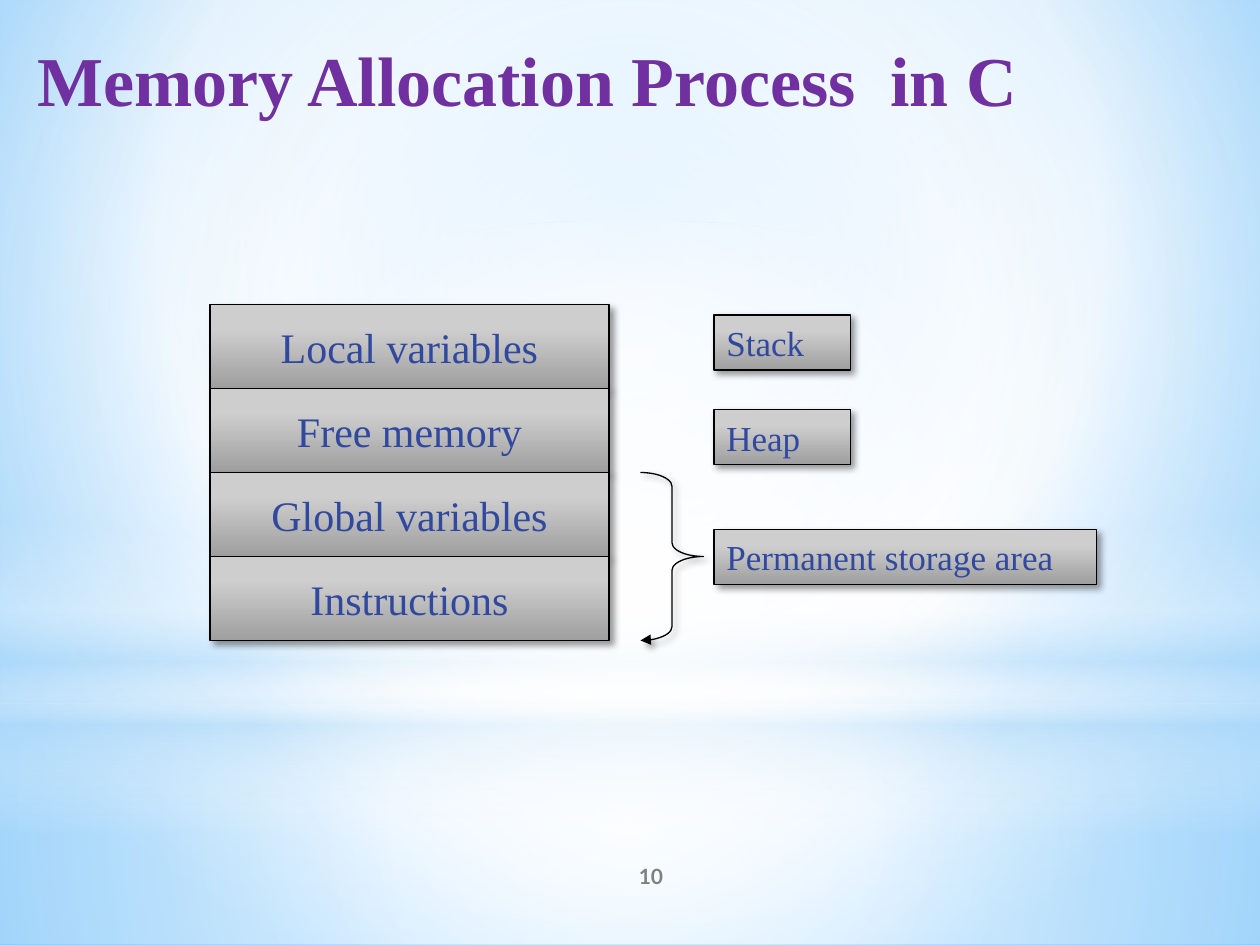
"""Build the slide on how C lays out program memory."""
from dataclasses import dataclass

from lxml import etree
from pptx import Presentation
from pptx.dml.color import RGBColor
from pptx.enum.shapes import MSO_SHAPE
from pptx.enum.text import MSO_ANCHOR, PP_ALIGN
from pptx.oxml.ns import qn
from pptx.util import Pt

RECT, OVAL, BRACE = MSO_SHAPE.RECTANGLE, MSO_SHAPE.OVAL, MSO_SHAPE.RIGHT_BRACE
LEFT, CENTER = PP_ALIGN.LEFT, PP_ALIGN.CENTER
TOP, MIDDLE = MSO_ANCHOR.TOP, MSO_ANCHOR.MIDDLE
CENTERED = (50, 50, 50, 50)


@dataclass(frozen=True)
class Theme:
    serif: str = "Times New Roman"
    sans: str = "Lato"
    title: str = "7030A0"
    label: str = "31489F"
    number: str = "808080"
    line: str = "000000"
    white: str = "FFFFFF"
    haze: str = "B4DCFA"
    sky: str = "9ED5FF"
    deep_sky: str = "5BB9FF"
    metal: tuple = ((28, "CECECE", 100), (100, "9F9F9F", 100))
    title_size: int = 40
    block_size: int = 24
    label_size: int = 20
    number_size: int = 12


def add_node(parent, tag, **attributes):
    node = etree.SubElement(parent, qn(tag))
    for key, value in attributes.items():
        node.set(key, str(value))
    return node


def add_color(parent, color, opacity):
    node = add_node(parent, "a:srgbClr", val=color)
    if opacity < 100:
        add_node(node, "a:alpha", val=opacity * 1000)


class SlideBuilder:
    def __init__(self, slide, theme):
        self.slide = slide
        self.theme = theme

    def gradient(self, fill, owner, stops, focus=None):
        fill.gradient()
        grad = owner.find(".//" + qn("a:gradFill"))
        for child in list(grad):
            grad.remove(child)
        stop_list = add_node(grad, "a:gsLst")
        for position, color, opacity in stops:
            add_color(add_node(stop_list, "a:gs", pos=position * 1000), color, opacity)
        if focus:
            sides = {side: value * 1000 for side, value in zip("ltrb", focus)}
            add_node(add_node(grad, "a:path", path="circle"), "a:fillToRect", **sides)
        else:
            add_node(grad, "a:lin", ang=90 * 60000, scaled=0)

    def background(self, stops, focus):
        self.gradient(self.slide.background.fill, self.slide.element, stops, focus)

    def shape(self, kind, box):
        shape = self.slide.shapes.add_shape(kind, *map(Pt, box))
        shape.shadow.inherit = False
        return shape

    def glow(self, kind, box, stops, focus=None):
        glow = self.shape(kind, box)
        self.gradient(glow.fill, glow.element, stops, focus)
        glow.line.fill.background()

    def outline(self, shape):
        shape.line.color.rgb = RGBColor.from_string(self.theme.line)
        shape.line.width = Pt(0.75)
        effects = shape.element.find(".//" + qn("a:effectLst"))
        shadow = add_node(effects, "a:outerShdw", blurRad=Pt(4), dist=Pt(3),
                          dir=45 * 60000, algn="tl", rotWithShape=0)
        add_color(shadow, self.theme.line, 40)

    def add_words(self, shape, text, size, color, font, align, anchor, bold=False, wrap=True):
        frame = shape.text_frame
        frame.word_wrap = wrap
        frame.vertical_anchor = anchor
        paragraph = frame.paragraphs[0]
        paragraph.alignment = align
        run = paragraph.add_run()
        run.text = text
        run.font.size = Pt(size)
        run.font.bold = bold
        run.font.name = font
        run.font.color.rgb = RGBColor.from_string(color)

    def text(self, box, text, size, color, font, align, anchor):
        holder = self.slide.shapes.add_textbox(*map(Pt, box))
        self.add_words(holder, text, size, color, font, align, anchor, bold=True)
        return holder

    def panel(self, box, text, size, align, wrap):
        panel = self.shape(RECT, box)
        self.gradient(panel.fill, panel.element, self.theme.metal)
        self.outline(panel)
        self.add_words(panel, text, size, self.theme.label, self.theme.serif,
                       align, MIDDLE, wrap=wrap)

    def brace(self, box):
        brace = self.shape(BRACE, box)
        brace.adjustments[0] = 0.22
        brace.fill.background()
        self.outline(brace)
        add_node(brace.element.find(".//" + qn("a:ln")), "a:tailEnd", type="triangle")


def main():
    theme = Theme()
    deck = Presentation()
    deck.slide_width, deck.slide_height = Pt(720), Pt(540)
    builder = SlideBuilder(deck.slides.add_slide(deck.slide_layouts[6]), theme)

    white, haze = theme.white, theme.haze
    builder.background(
        [(0, theme.sky, 100), (60, white, 100), (100, theme.deep_sky, 100)],
        (20, 10, 20, 60))
    horizon = 402
    builder.glow(RECT, (0, horizon, 720, 540 - horizon),
                 [(0, white, 91), (37, white, 76), (100, haze, 79)], CENTERED)
    builder.glow(RECT, (0, 0, 720, horizon),
                 [(0, white, 89), (48, white, 62), (100, haze, 79)], CENTERED)
    builder.glow(RECT, (0, 297, 720, 180),
                 [(0, white, 0), (29, white, 30), (45, haze, 40),
                  (55, white, 26), (65, haze, 60), (100, white, 0)])
    builder.glow(OVAL, (0, 126, 720, 402), [(0, white, 100), (56, white, 0)], CENTERED)

    title = builder.text((14.4, 15, 686, 90), "Memory Allocation Process  in C",
                         theme.title_size, theme.title, theme.serif, LEFT, TOP)
    title.text_frame.margin_top = Pt(6)
    builder.text((300, 486, 144, 28.8), "10", theme.number_size,
                 theme.number, theme.sans, CENTER, MIDDLE)

    memory_top, block_height = 174, 48
    regions = ("Local variables", "Free memory", "Global variables", "Instructions")
    for index, region in enumerate(regions):
        block = (120, memory_top + index * block_height, 228, block_height)
        builder.panel(block, region, theme.block_size, CENTER, wrap=False)

    builder.brace((366, memory_top + 2 * block_height, 36, 2 * block_height))

    areas = (("Permanent storage area", 302.4, 218.4), ("Stack", 180, 78), ("Heap", 234, 78))
    for area, top, width in areas:
        builder.panel((408, top, width, 31.5), area, theme.label_size, LEFT, wrap=True)

    deck.save("out.pptx")


if __name__ == "__main__":
    main()
